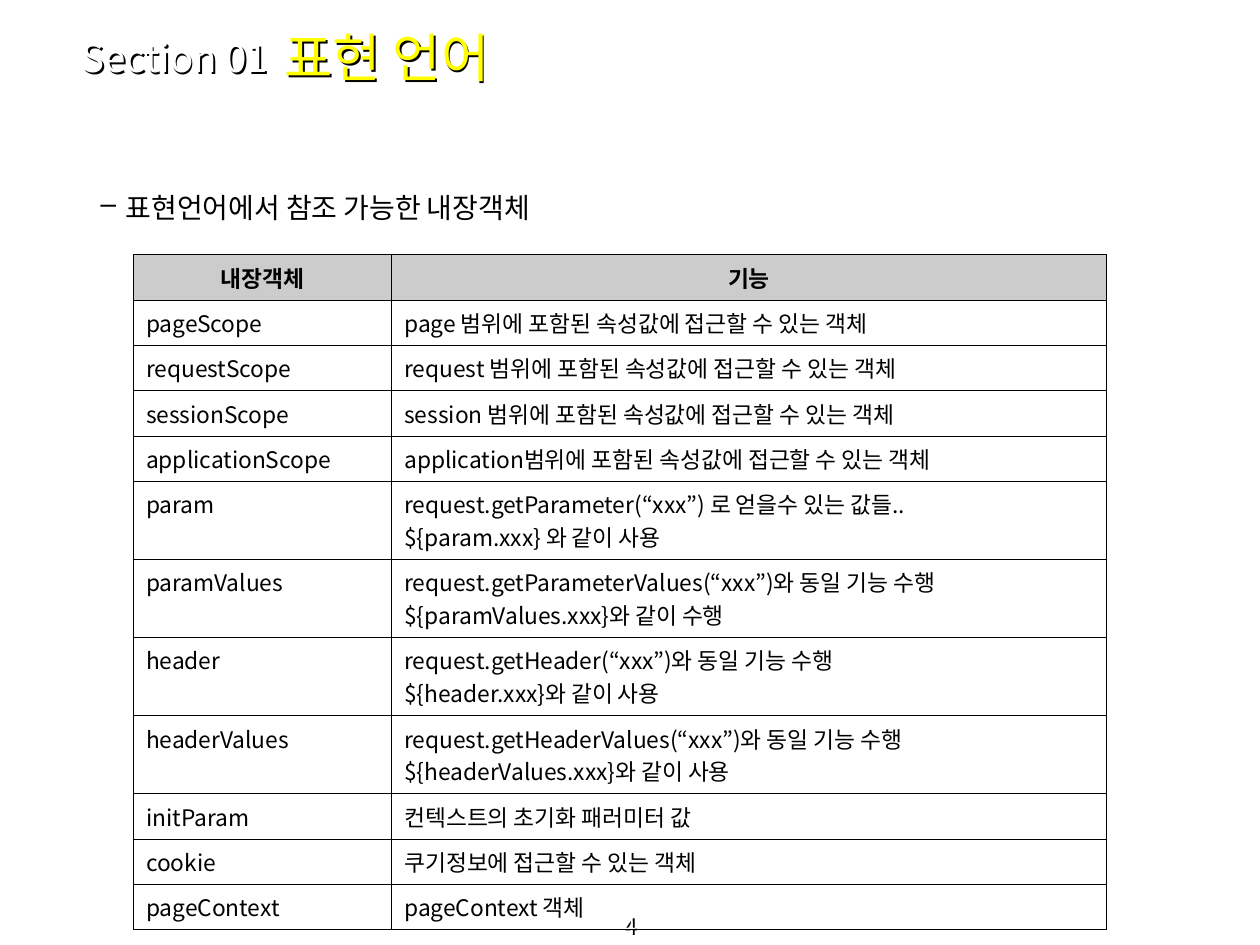
from lxml.etree import SubElement as Sub
from pptx import Presentation
from pptx.dml.color import RGBColor as Color
from pptx.enum.text import MSO_ANCHOR as Anchor, PP_ALIGN as Align
from pptx.oxml.ns import qn
from pptx.util import Inches, Pt

BLACK = Color(0x00, 0x00, 0x00)
WHITE = Color(0xFF, 0xFF, 0xFF)
YELLOW = Color(0xFF, 0xFF, 0x00)
GRAY = Color(0xCC, 0xCC, 0xCC)
FONT = "Noto Sans CJK KR"

SCOPE = "범위에 포함된 속성값에 접근할 수 있는 객체"
ROWS = [
    ("내장객체", "기능"),
    ("pageScope", f"page {SCOPE}"),
    ("requestScope", f"request {SCOPE}"),
    ("sessionScope", f"session {SCOPE}"),
    ("applicationScope", f"application{SCOPE}"),
    ("param", "request.getParameter(“xxx”) 로 얻을수 있는 값들..\n${param.xxx} 와 같이 사용"),
    ("paramValues", "request.getParameterValues(“xxx”)와 동일 기능 수행\n${paramValues.xxx}와 같이 수행"),
    ("header", "request.getHeader(“xxx”)와 동일 기능 수행\n${header.xxx}와 같이 사용"),
    ("headerValues", "request.getHeaderValues(“xxx”)와 동일 기능 수행\n${headerValues.xxx}와 같이 사용"),
    ("initParam", "컨텍스트의 초기화 패러미터 값"),
    ("cookie", "쿠기정보에 접근할 수 있는 객체"),
    ("pageContext", "pageContext 객체"),
]


def shade(box):
    """Give the letters of an unfilled box a small hard shadow."""
    mark = Sub(box._element.spPr, qn("a:effectLst"))
    cast = Sub(mark, qn("a:outerShdw"), blurRad="0", dist=str(Pt(1.4)), dir="2700000",
               algn="tl", rotWithShape="0")
    Sub(cast, qn("a:srgbClr"), val=str(BLACK))


def write(frame, text, size=13, color=BLACK, bold=False, align=Align.LEFT):
    """Fill a text frame, one paragraph for each line."""
    for i, line in enumerate(text.split("\n")):
        para = frame.add_paragraph() if i else frame.paragraphs[0]
        para.alignment = align
        run = para.add_run()
        run.text = line
        font = run.font
        font.size, font.bold, font.name = Pt(size), bold, FONT
        font.color.rgb = color
        Sub(font._element, qn("a:ea"), typeface=FONT)


def edge(cell, width=0.45):
    """Draw a thin black line on all four sides of a cell."""
    props = cell._tc.get_or_add_tcPr()
    for side in ("lnL", "lnR", "lnT", "lnB"):
        line = Sub(props, qn(f"a:{side}"), w=str(Pt(width)))
        Sub(Sub(line, qn("a:solidFill")), qn("a:srgbClr"), val=str(BLACK))


def dash(para, left, hang):
    """Put a black dash before a paragraph, with a hanging indent."""
    props = para._p.get_or_add_pPr()
    props.set("marL", str(Inches(left)))
    props.set("indent", str(-Inches(hang)))
    Sub(Sub(props, qn("a:buClr")), qn("a:srgbClr"), val=str(BLACK))
    Sub(props, qn("a:buChar"), char="–")


class Page:
    def __init__(self, slide):
        self.slide = slide

    def text(self, at, text, anchor=Anchor.MIDDLE, top=0.05, shadow=False, **style):
        box = self.slide.shapes.add_textbox(*map(Inches, at))
        if shadow:
            shade(box)
        frame = box.text_frame
        frame.word_wrap = True
        frame.vertical_anchor = anchor
        frame.margin_top = Inches(top)
        write(frame, text, **style)
        return frame

    def bullet(self, at, text, **style):
        frame = self.text(at, text, anchor=Anchor.TOP, **style)
        dash(frame.paragraphs[0], 0.39, 0.2)

    def table(self, left, top, widths, rows):
        highs = [0.62 if "\n" in row[1] else 0.36 for row in rows]
        area = map(Inches, (left, top, sum(widths), sum(highs)))
        table = self.slide.shapes.add_table(len(rows), len(widths), *area).table
        table.first_row = table.horz_banding = False
        for col, width in zip(table.columns, widths):
            col.width = Inches(width)
        for r, (row, high) in enumerate(zip(rows, highs)):
            table.rows[r].height = Inches(high)
            for c, text in enumerate(row):
                self.cell(table.cell(r, c), text, head=r == 0)

    def cell(self, cell, text, head):
        edge(cell)
        if head:
            cell.fill.solid()
            cell.fill.fore_color.rgb = GRAY
        else:
            cell.fill.background()
        write(cell.text_frame, text, bold=head, align=Align.CENTER if head else Align.LEFT)


def main():
    deck = Presentation()
    deck.slide_width, deck.slide_height = Inches(10), Inches(7.5)
    page = Page(deck.slides.add_slide(deck.slide_layouts[6]))
    page.text((0, 7.28, 10, 0.22), "4", anchor=Anchor.BOTTOM, color=WHITE,
              align=Align.CENTER, shadow=True)
    page.bullet((0.51, 1.07, 9, 6.06), "표현언어에서 참조 가능한 내장객체", top=0.44, size=16)
    page.text((2.16, 0.11, 6.49, 0.68), "표현 언어", size=30, color=YELLOW, shadow=True)
    page.text((0.55, 0.27, 1.93, 0.37), "Section 01", size=22, color=WHITE, shadow=True)
    page.table(1.06, 2.02, (2.05, 5.67), ROWS)
    deck.save("out.pptx")


if __name__ == "__main__":
    main()
